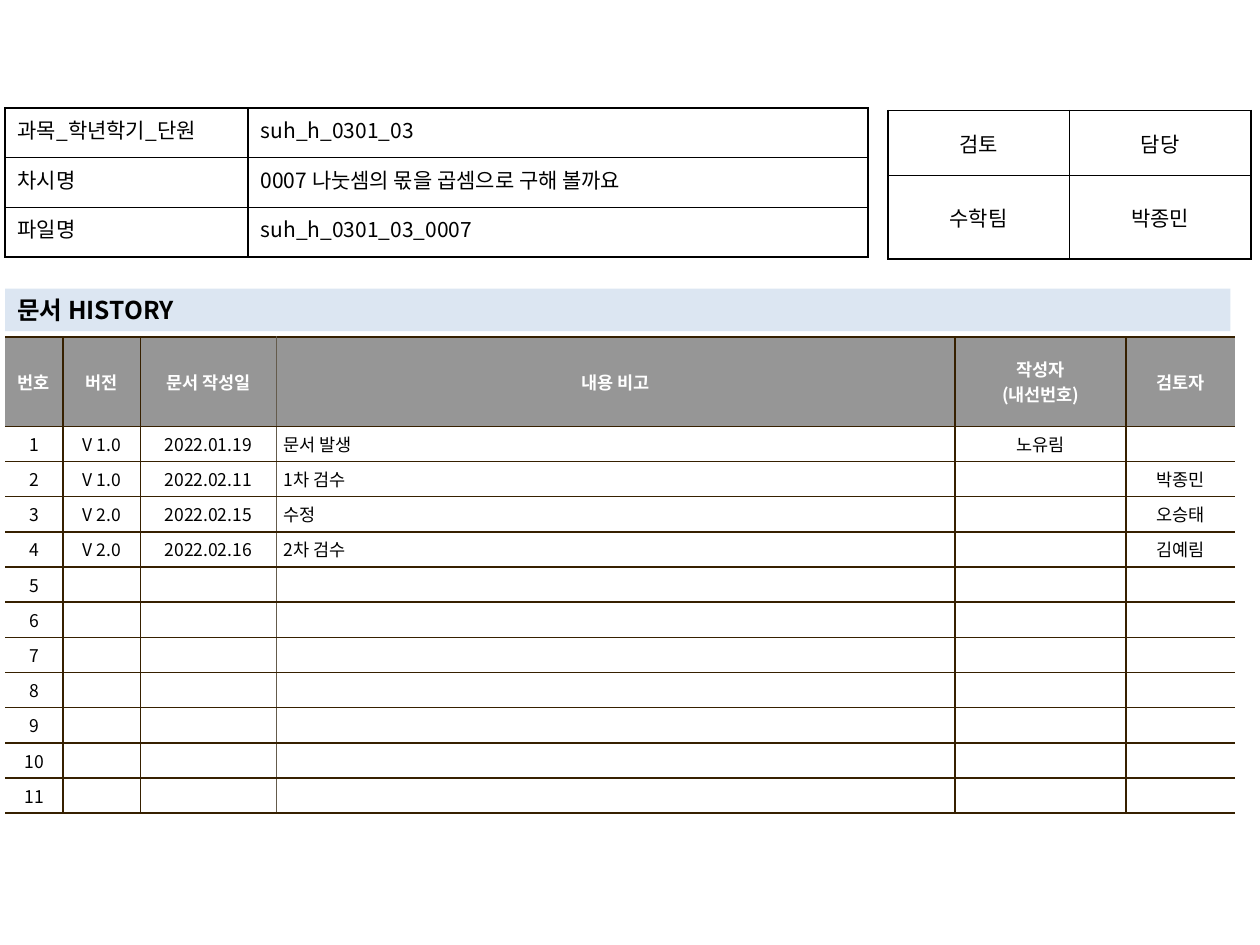
"""Build the document history slide of a maths lesson storyboard."""
from dataclasses import dataclass
from typing import Optional

from lxml import etree
from pptx import Presentation
from pptx.dml.color import RGBColor
from pptx.enum.shapes import MSO_SHAPE
from pptx.enum.text import MSO_ANCHOR, PP_ALIGN
from pptx.oxml.ns import qn
from pptx.util import Pt

RECTANGLE = MSO_SHAPE.RECTANGLE
TOP, MIDDLE = MSO_ANCHOR.TOP, MSO_ANCHOR.MIDDLE
LEFT, CENTER, JUSTIFY = PP_ALIGN.LEFT, PP_ALIGN.CENTER, PP_ALIGN.JUSTIFY

BLACK = RGBColor(0x00, 0x00, 0x00)
WHITE = RGBColor(0xFF, 0xFF, 0xFF)
GRAY = RGBColor(0x96, 0x96, 0x96)
PALE_BLUE = RGBColor(0xDC, 0xE6, 0xF2)
BROWN = RGBColor(0x36, 0x20, 0x00)
TAUPE = RGBColor(0x64, 0x5B, 0x4C)
FONT = "Noto Sans CJK KR"


@dataclass(frozen=True)
class TextStyle:
    size: float
    color: RGBColor = BLACK
    bold: bool = False


@dataclass(frozen=True)
class Grid:
    left: float
    top: float
    columns: list[float]
    heights: list[float]
    rows: list[list[str]]
    alignments: list[PP_ALIGN]
    style: TextStyle
    anchor: MSO_ANCHOR
    margins: tuple[float, float]
    vertical_lines: list[Optional[RGBColor]]
    horizontal_line: RGBColor
    fill: Optional[RGBColor] = None
    header_fill: Optional[RGBColor] = None
    header_style: Optional[TextStyle] = None


def format_paragraph(paragraph, style: TextStyle, alignment: PP_ALIGN) -> None:
    """Apply alignment and font to every run, or to the empty line."""
    paragraph.alignment = alignment
    values = {"size": Pt(style.size), "bold": style.bold, "name": FONT}
    for run in paragraph.runs:
        for attribute, value in values.items():
            setattr(run.font, attribute, value)
        run.font.color.rgb = style.color
        latin = run.font._element.find(qn("a:latin"))
        east_asian = etree.Element(qn("a:ea"), typeface=FONT)
        latin.addnext(east_asian)
    if not paragraph.runs:
        etree.SubElement(paragraph._p, qn("a:endParaRPr"), sz=str(round(style.size * 100)))


def set_border(cell, side: str, color: Optional[RGBColor]) -> None:
    """Draw one side of a cell, or hide it when there is no color."""
    properties = cell._tc.get_or_add_tcPr()
    line = etree.SubElement(properties, qn(f"a:ln{side}"), w=str(Pt(1)))
    if color is None:
        etree.SubElement(line, qn("a:noFill"))
    else:
        solid = etree.SubElement(line, qn("a:solidFill"))
        etree.SubElement(solid, qn("a:srgbClr"), val=str(color))


def draw_grid(slide, grid: Grid) -> None:
    """Add a table with its text, borders and fills."""
    table = slide.shapes.add_table(
        len(grid.heights), len(grid.columns), Pt(grid.left), Pt(grid.top),
        Pt(sum(grid.columns)), Pt(sum(grid.heights)),
    ).table
    table.first_row = table.horz_banding = False
    for column, width in zip(table.columns, grid.columns):
        column.width = Pt(width)
    for row, height in zip(table.rows, grid.heights):
        row.height = Pt(height)
    side_margin, end_margin = map(Pt, grid.margins)
    cell_format = {
        "margin_left": side_margin, "margin_right": side_margin,
        "margin_top": end_margin, "margin_bottom": end_margin,
        "vertical_anchor": grid.anchor,
    }
    for row_index, texts in enumerate(grid.rows):
        is_header = row_index == 0 and grid.header_style is not None
        style = grid.header_style if is_header else grid.style
        fill = grid.header_fill if is_header else grid.fill
        for column_index, text in enumerate(texts):
            cell = table.cell(row_index, column_index)
            cell.text = text
            for attribute, value in cell_format.items():
                setattr(cell, attribute, value)
            alignment = CENTER if is_header else grid.alignments[column_index]
            for paragraph in cell.text_frame.paragraphs:
                format_paragraph(paragraph, style, alignment)
            borders = {
                "L": grid.vertical_lines[column_index],
                "R": grid.vertical_lines[column_index + 1],
                "T": grid.horizontal_line, "B": grid.horizontal_line,
            }
            for side, color in borders.items():
                set_border(cell, side, color)
            if fill is None:
                cell.fill.background()
            else:
                cell.fill.solid()
                cell.fill.fore_color.rgb = fill


def draw_heading(slide, text: str) -> None:
    """Add the tinted heading bar above the history."""
    heading = slide.shapes.add_shape(RECTANGLE, Pt(2.9), Pt(165), Pt(700.2), Pt(24.2))
    heading.shadow.inherit = False
    heading.fill.solid()
    heading.fill.fore_color.rgb = PALE_BLUE
    heading.line.fill.background()
    frame = heading.text_frame
    frame.word_wrap = True
    frame.vertical_anchor = MIDDLE
    frame.text = text
    format_paragraph(frame.paragraphs[0], TextStyle(14, bold=True), LEFT)


ENTRIES = [
    ["V 1.0", "2022.01.19", "문서 발생", "노유림", ""],
    ["V 1.0", "2022.02.11", "1차 검수", "", "박종민"],
    ["V 2.0", "2022.02.15", "수정", "", "오승태"],
    ["V 2.0", "2022.02.16", "2차 검수", "", "김예림"],
]
ENTRY_COUNT = 11
BLANK_ENTRIES = [[""] * 5 for _ in range(ENTRY_COUNT - len(ENTRIES))]
NUMBERED_ENTRIES = [
    [str(number), *entry] for number, entry in enumerate(ENTRIES + BLANK_ENTRIES, 1)
]
HISTORY_HEADER = ["번호", "버전", "문서 작성일", "내용 비고", "작성자\n(내선번호)", "검토자"]

HISTORY = Grid(
    left=2.9, top=192.6,
    columns=[33.1, 44.2, 77.7, 388, 97.7, 62.5],
    heights=[51] + [20.1] * ENTRY_COUNT,
    rows=[HISTORY_HEADER] + NUMBERED_ENTRIES,
    alignments=[CENTER, CENTER, CENTER, LEFT, CENTER, CENTER],
    style=TextStyle(10), anchor=MIDDLE, margins=(4.2, 2.8),
    vertical_lines=[None, BROWN, BROWN, TAUPE, BROWN, BROWN, None],
    horizontal_line=BROWN, fill=WHITE, header_fill=GRAY,
    header_style=TextStyle(10, WHITE, True),
)
REVIEW = Grid(
    left=507.4, top=63.2, columns=[103.7] * 2, heights=[37.1, 47.8],
    rows=[["검토", "담당"], ["수학팀", "박종민"]],
    alignments=[CENTER] * 2, style=TextStyle(12), anchor=MIDDLE,
    margins=(7.2, 3.6), vertical_lines=[BLACK] * 3, horizontal_line=BLACK,
)
LESSON = Grid(
    left=2.9, top=61.7, columns=[138.9, 354.2], heights=[28.4] * 3,
    rows=[
        ["과목_학년학기_단원", "suh_h_0301_03"],
        ["차시명", "0007 나눗셈의 몫을 곱셈으로 구해 볼까요"],
        ["파일명", "suh_h_0301_03_0007"],
    ],
    alignments=[JUSTIFY, LEFT], style=TextStyle(12), anchor=TOP,
    margins=(7.2, 3.6), vertical_lines=[BLACK] * 3, horizontal_line=BLACK,
)


def main() -> None:
    """Build and save the slide."""
    presentation = Presentation()
    presentation.slide_width, presentation.slide_height = Pt(720), Pt(540)
    slide = presentation.slides.add_slide(presentation.slide_layouts[6])
    draw_grid(slide, HISTORY)
    draw_grid(slide, REVIEW)
    draw_heading(slide, "문서 HISTORY")
    draw_grid(slide, LESSON)
    presentation.save("out.pptx")


if __name__ == "__main__":
    main()
